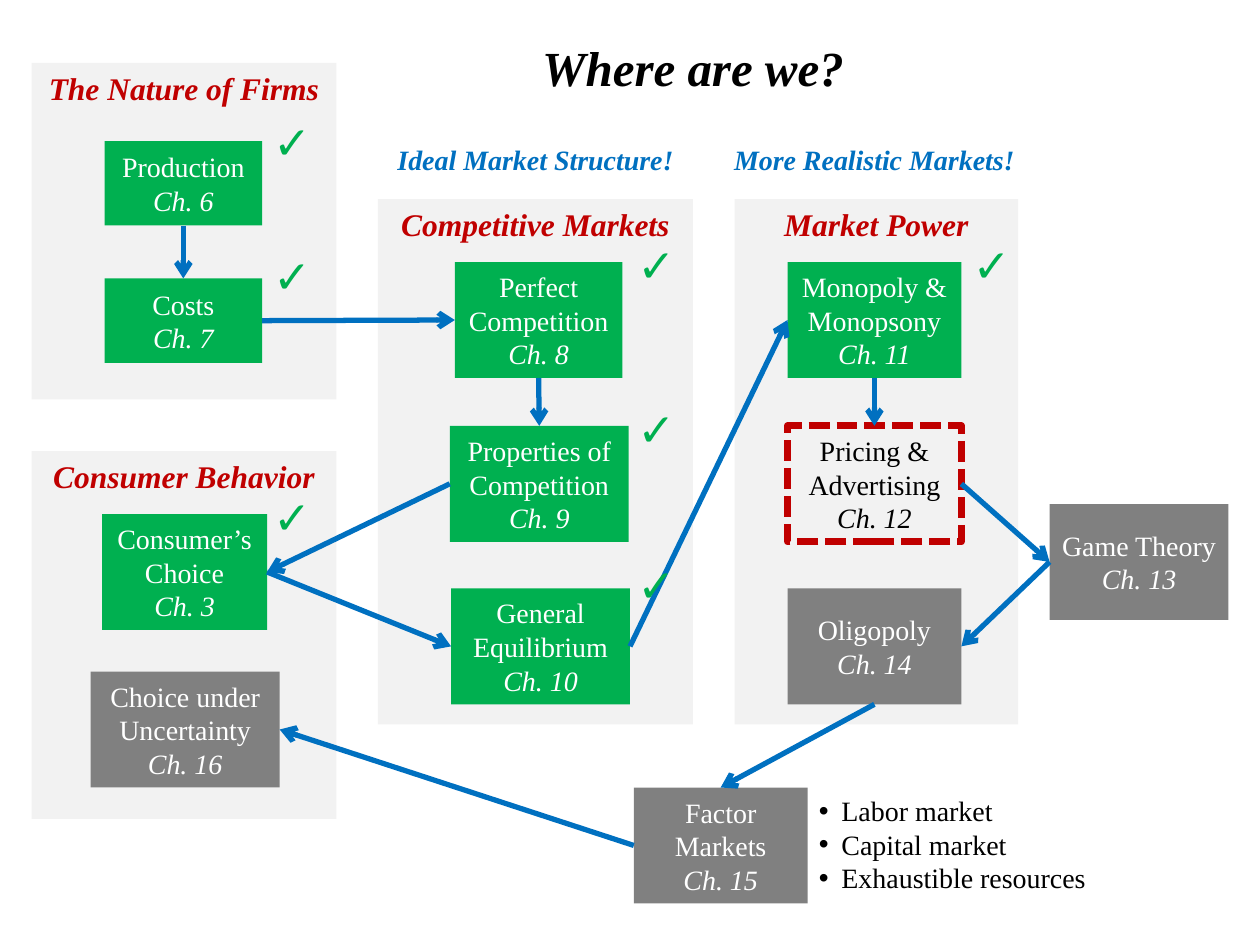
from dataclasses import dataclass

from lxml.etree import SubElement
from pptx import Presentation
from pptx.dml.color import RGBColor
from pptx.enum.dml import MSO_LINE_DASH_STYLE as Dash
from pptx.enum.shapes import MSO_CONNECTOR, MSO_SHAPE
from pptx.enum.text import MSO_ANCHOR, PP_ALIGN
from pptx.oxml.ns import qn
from pptx.util import Inches, Pt

RED = RGBColor(0xC0, 0x00, 0x00)
GREEN = RGBColor(0x00, 0xB0, 0x50)
BLUE = RGBColor(0x00, 0x70, 0xC0)
GREY = RGBColor(0x80, 0x80, 0x80)
PALE = RGBColor(0xF2, 0xF2, 0xF2)
WHITE = RGBColor(0xFF, 0xFF, 0xFF)
BLACK = RGBColor(0x00, 0x00, 0x00)
SERIF = "Times New Roman"
TOP, LEFT, BOTTOM, RIGHT = range(4)


@dataclass
class Panel:
    heading: str
    left: float
    top: float
    width: float
    height: float


@dataclass
class Topic:
    chapter: int
    name: str
    left: float
    top: float
    width: float
    height: float = 0.92
    fill: RGBColor | None = GREEN


@dataclass
class Arrow:
    start: int
    start_side: int
    end: int
    end_side: int


PANELS = [
    Panel("The Nature of Firms", 0.25, 0.5, 2.42, 2.67),
    Panel("Competitive Markets", 3, 1.58, 2.5, 4.17),
    Panel("Consumer Behavior", 0.25, 3.58, 2.42, 2.92),
    Panel("Market Power", 5.83, 1.58, 2.25, 4.17),
]
TOPICS = [
    Topic(6, "Production", 0.83, 1.12, 1.25, 0.67),
    Topic(7, "Costs", 0.83, 2.21, 1.25, 0.67),
    Topic(8, "Perfect Competition", 3.61, 2.08, 1.33),
    Topic(9, "Properties of Competition", 3.57, 3.38, 1.42),
    Topic(10, "General Equilibrium", 3.58, 4.67, 1.42),
    Topic(3, "Consumer\u2019s Choice", 0.81, 4.08, 1.31),
    Topic(11, "Monopoly & Monopsony", 6.25, 2.08, 1.38),
    Topic(12, "Pricing & Advertising", 6.25, 3.38, 1.38, fill=None),
    Topic(13, "Game Theory", 8.33, 4, 1.42, fill=GREY),
    Topic(14, "Oligopoly", 6.25, 4.67, 1.38, fill=GREY),
    Topic(15, "Factor Markets", 5.03, 6.25, 1.38, fill=GREY),
    Topic(16, "Choice under Uncertainty", 0.72, 5.33, 1.5, fill=GREY),
]
ARROWS = [
    Arrow(6, BOTTOM, 7, TOP),
    Arrow(7, RIGHT, 8, LEFT),
    Arrow(8, BOTTOM, 9, TOP),
    Arrow(9, LEFT, 3, RIGHT),
    Arrow(3, RIGHT, 10, LEFT),
    Arrow(10, RIGHT, 11, LEFT),
    Arrow(11, BOTTOM, 12, TOP),
    Arrow(12, RIGHT, 13, LEFT),
    Arrow(13, LEFT, 14, RIGHT),
    Arrow(14, BOTTOM, 15, TOP),
    Arrow(15, LEFT, 16, RIGHT),
]
CHECKS = [(2.07, 0.86), (2.07, 1.92), (2.07, 3.83), (4.96, 1.83),
          (4.96, 3.13), (4.96, 4.37), (7.62, 1.83)]
CAPTIONS = {"Ideal Market Structure!": 2.99, "More Realistic Markets!": 5.68}
FACTORS = ["Labor market", "Capital market", "Exhaustible resources"]


def add_text(paragraph, text: str, size: float, color: RGBColor, bold=False,
             italic=False, font=SERIF, align=PP_ALIGN.CENTER) -> None:
    paragraph.alignment = align
    run = paragraph.add_run()
    run.text = text
    run.font.name, run.font.size = font, Pt(size)
    run.font.bold, run.font.italic = bold, italic
    run.font.color.rgb = color


def add_box(left: float, top: float, width: float, height: float, fill: RGBColor | None):
    box = slide.shapes.add_shape(MSO_SHAPE.RECTANGLE, Inches(left), Inches(top),
                                 Inches(width), Inches(height))
    box.shadow.inherit = False
    if fill is None:
        box.fill.background()
        box.line.color.rgb = RED
        box.line.width = Pt(4)
        box.line.dash_style = Dash.SQUARE_DOT
    else:
        box.fill.solid()
        box.fill.fore_color.rgb = fill
        box.line.fill.background()
    return box


def add_panel(panel: Panel) -> None:
    frame = add_box(panel.left, panel.top, panel.width, panel.height, PALE).text_frame
    frame.vertical_anchor = MSO_ANCHOR.TOP
    add_text(frame.paragraphs[0], panel.heading, 18, RED, bold=True, italic=True)


def add_topic(topic: Topic):
    box = add_box(topic.left, topic.top, topic.width, topic.height, topic.fill)
    color = WHITE if topic.fill else BLACK
    frame = box.text_frame
    frame.vertical_anchor = MSO_ANCHOR.MIDDLE
    add_text(frame.paragraphs[0], topic.name, 16, color)
    add_text(frame.add_paragraph(), f"Ch. {topic.chapter}", 16, color, italic=True)
    return box


def add_arrow(arrow: Arrow) -> None:
    line = slide.shapes.add_connector(MSO_CONNECTOR.STRAIGHT, 0, 0, 0, 0)
    line.begin_connect(boxes[arrow.start], arrow.start_side)
    line.end_connect(boxes[arrow.end], arrow.end_side)
    line.line.color.rgb = BLUE
    line.line.width = Pt(3)
    SubElement(line.line._get_or_add_ln(), qn("a:tailEnd"), type="arrow")
    SubElement(line._element.spPr, qn("a:effectLst"))


def add_label(left: float, top: float, width: float, height: float, wrap=True):
    label = slide.shapes.add_textbox(Inches(left), Inches(top), Inches(width), Inches(height))
    label.text_frame.word_wrap = wrap
    return label.text_frame


def add_bullet(paragraph, text: str) -> None:
    add_text(paragraph, text, 16, BLACK, align=PP_ALIGN.LEFT)
    props = paragraph._p.get_or_add_pPr()
    props.set("marL", str(Inches(0.18)))
    props.set("indent", str(-Inches(0.18)))
    SubElement(props, qn("a:buFont"), typeface="Arial")
    SubElement(props, qn("a:buChar"), char="\u2022")


deck = Presentation()
deck.slide_width, deck.slide_height = Inches(10), Inches(7.5)
slide = deck.slides.add_slide(deck.slide_layouts[5])

title = slide.shapes.title
title.left, title.top = Inches(3.16), Inches(0.25)
title.width, title.height = Inches(4.68), Inches(0.57)
title.text_frame.vertical_anchor = MSO_ANCHOR.TOP
add_text(title.text_frame.paragraphs[0], "Where are we?", 28, BLACK, bold=True, italic=True)

for panel in PANELS:
    add_panel(panel)
boxes = {topic.chapter: add_topic(topic) for topic in TOPICS}
for arrow in ARROWS:
    add_arrow(arrow)

factor_list = add_label(6.4, 6.25, 2.68, 0.91)
for index, factor in enumerate(FACTORS):
    add_bullet(factor_list.add_paragraph() if index else factor_list.paragraphs[0], factor)

for caption, left in CAPTIONS.items():
    add_text(add_label(left, 1.08, 2.52, 0.37).paragraphs[0], caption, 16, BLUE,
             bold=True, italic=True)
for left, top in CHECKS:
    add_text(add_label(left, top, 0.42, 0.54, wrap=False).paragraphs[0], "\u2713", 26, GREEN,
             font="Arial")

deck.save("out.pptx")
